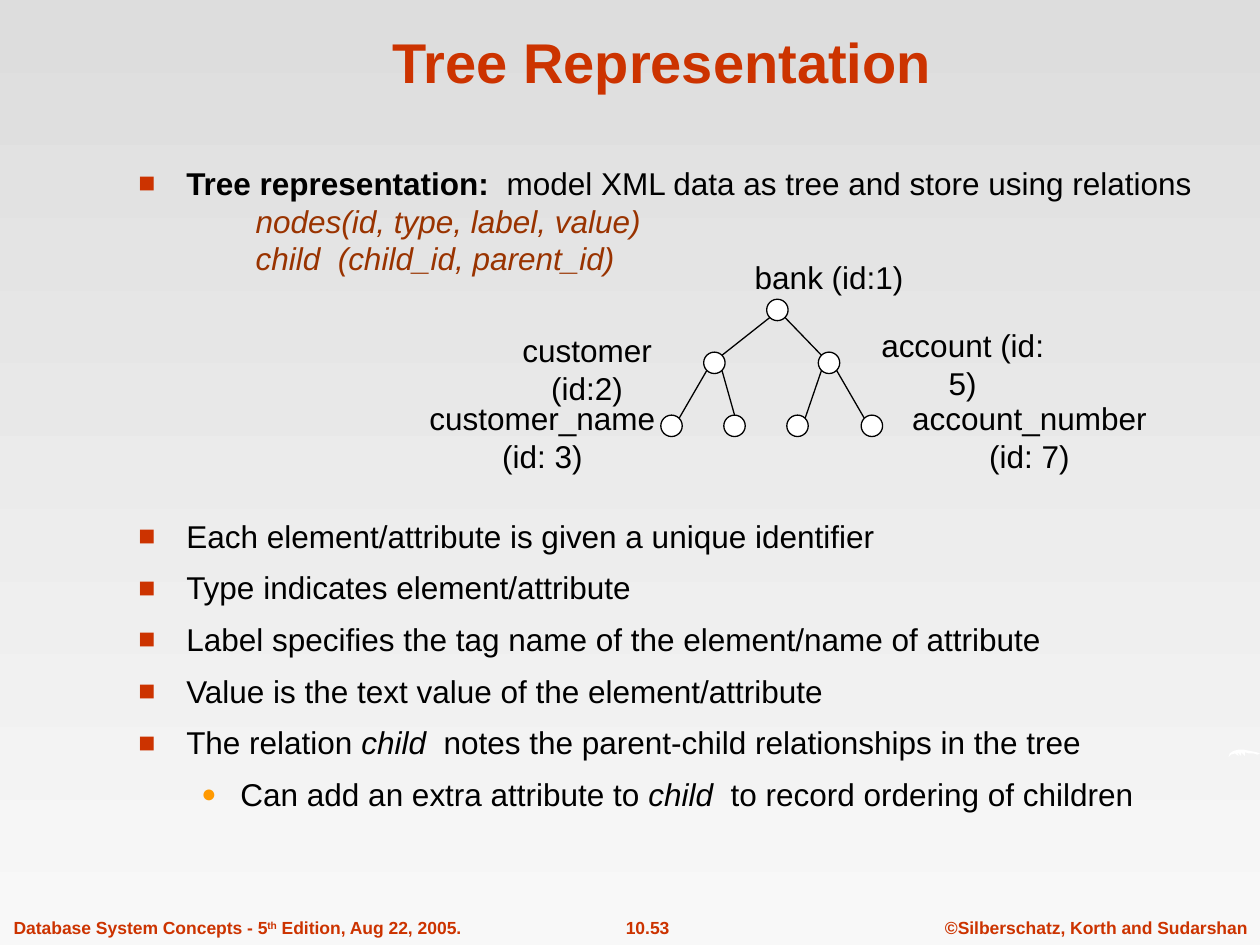
from lxml.etree import SubElement
from pptx import Presentation
from pptx.dml.color import RGBColor
from pptx.enum.shapes import MSO_CONNECTOR, MSO_SHAPE
from pptx.enum.text import MSO_ANCHOR, MSO_AUTO_SIZE, PP_ALIGN
from pptx.oxml.ns import qn
from pptx.util import Inches, Pt

RED, ORANGE, BROWN = "CC3300", "FF9900", "993300"
BLACK, WHITE = "000000", "FFFFFF"


def color(value):
    return RGBColor.from_string(value)


class SlideBuilder:
    font_name = "Arial"
    body_size = 18
    line_height = 21.6
    node_size = 0.17
    edge_offset = 0.06

    def __init__(self, presentation):
        self.slide = presentation.slides.add_slide(presentation.slide_layouts[5])

    def background(self, top, bottom):
        fill = self.slide.background.fill
        fill.gradient()
        fill.gradient_angle = 270
        for stop, position, value in zip(fill.gradient_stops, (0, 1), (top, bottom)):
            stop.position = position
            stop.color.rgb = color(value)

    def style(self, paragraph, size, value=BLACK, bold=False, italic=False):
        font = paragraph.font
        font.name, font.size = self.font_name, Pt(size)
        font.bold, font.italic = bold, italic
        font.color.rgb = color(value)

    def title(self, text, left, top, width, height):
        shape = self.slide.shapes.title
        shape.left, shape.top = Inches(left), Inches(top)
        shape.width, shape.height = Inches(width), Inches(height)
        frame = shape.text_frame
        frame.auto_size = MSO_AUTO_SIZE.NONE
        frame.vertical_anchor = MSO_ANCHOR.BOTTOM
        frame.text = text
        frame.paragraphs[0].alignment = PP_ALIGN.CENTER
        self.style(frame.paragraphs[0], 32, RED, bold=True)

    def text_box(self, left, top, width, height, wrap=False):
        box = self.slide.shapes.add_textbox(
            Inches(left), Inches(top), Inches(width), Inches(height))
        box.text_frame.word_wrap = wrap
        return box.text_frame

    def footer(self, parts, left, width, alignment=PP_ALIGN.CENTER):
        paragraph = self.text_box(left, 7.23, width, 0.27).paragraphs[0]
        paragraph.alignment = alignment
        self.style(paragraph, 10, RED, bold=True)
        for text, superscript in parts:
            run = paragraph.add_run()
            run.text = text
            if superscript:
                run._r.get_or_add_rPr().set("baseline", "30000")

    def label(self, text, left, top, width, height):
        paragraph = self.text_box(left, top, width, height).paragraphs[0]
        paragraph.text = text
        paragraph.alignment = PP_ALIGN.CENTER
        paragraph.line_spacing = Pt(self.line_height)
        self.style(paragraph, self.body_size)

    def bullet(self, properties, character, value, percent):
        bullet_color = SubElement(properties, qn("a:buClr"))
        SubElement(bullet_color, qn("a:srgbClr"), val=value)
        SubElement(properties, qn("a:buSzPct"), val=str(percent * 1000))
        SubElement(properties, qn("a:buFont"), typeface=self.font_name)
        SubElement(properties, qn("a:buChar"), char=character)

    def body(self, items, left, top, width, height):
        frame = self.text_box(left, top, width, height, wrap=True)
        # Kind: left margin, first-line indent, bullet, text colour
        kinds = {
            "point": (0.38, -0.38, ("■", RED, 90), BLACK),
            "schema": (0.93, 0, None, BROWN),
            "detail": (0.81, -0.31, ("●", ORANGE, 80), BLACK),
        }
        for index, (kind, space, runs) in enumerate(items):
            margin, indent, bullet, value = kinds[kind]
            paragraph = frame.add_paragraph() if index else frame.paragraphs[0]
            properties = paragraph._p.get_or_add_pPr()
            properties.set("marL", str(Inches(margin)))
            properties.set("indent", str(Inches(indent)))
            paragraph.line_spacing = Pt(self.line_height)
            paragraph.space_before = Pt(space)
            if bullet:
                self.bullet(properties, *bullet)
            self.style(paragraph, self.body_size, value, italic=kind == "schema")
            for text, emphasis in runs:
                run = paragraph.add_run()
                run.text = text
                if emphasis == "bold":
                    run.font.bold = True
                elif emphasis == "italic":
                    run.font.italic = True

    def node(self, x, y):
        size = self.node_size
        shape = self.slide.shapes.add_shape(
            MSO_SHAPE.OVAL, Inches(x - size / 2), Inches(y - size / 2),
            Inches(size), Inches(size))
        shape.shadow.inherit = False
        shape.fill.solid()
        shape.fill.fore_color.rgb = color(WHITE)
        shape.line.color.rgb = color(BLACK)
        shape.line.width = Pt(0.75)

    def edge(self, parent, child):
        offset = self.edge_offset
        side = offset if child[0] > parent[0] else -offset
        start = (parent[0] + side, parent[1] + offset)
        # A child almost below its parent is reached at the top
        if abs(child[0] - start[0]) < 0.15:
            end = (child[0], child[1] - self.node_size / 2)
        else:
            end = (child[0] - side, child[1] - offset)
        connector = self.slide.shapes.add_connector(
            MSO_CONNECTOR.STRAIGHT, *map(Inches, start + end))
        connector.line.color.rgb = color(BLACK)
        connector.line.width = Pt(0.75)
        SubElement(connector._element.spPr, qn("a:effectLst"))

    def outline(self, points, value):
        builder = self.slide.shapes.build_freeform(
            *map(Inches, points[0]), scale=1.0)
        builder.add_line_segments(
            [tuple(map(Inches, point)) for point in points[1:]], close=True)
        shape = builder.convert_to_shape()
        shape.shadow.inherit = False
        shape.fill.solid()
        shape.fill.fore_color.rgb = color(value)
        shape.line.fill.background()


def main():
    presentation = Presentation()
    presentation.slide_width, presentation.slide_height = Inches(10), Inches(7.5)
    builder = SlideBuilder(presentation)
    builder.background("DDDDDD", "F8F8F8")

    # Footer
    builder.footer([("©Silberschatz, Korth and Sudarshan", False)], 7.4, 2.6)
    builder.footer([("10.53", False)], 4.61, 1.06)
    builder.footer([("Database System Concepts - 5", False), ("th", True),
                    (" Edition, Aug 22, 2005.", False)], 0.01, 3.76, PP_ALIGN.LEFT)

    # White sliver at the right edge
    builder.outline([
        (9.75, 6.01), (9.76, 5.98), (9.79, 5.96), (9.83, 5.95), (9.87, 5.95),
        (9.92, 5.96), (9.97, 5.97), (10, 5.98), (9.98, 5.99), (9.95, 5.98),
        (9.91, 5.98), (9.88, 5.97), (9.88, 6), (9.85, 5.97), (9.85, 6),
        (9.82, 5.97), (9.83, 6), (9.8, 5.98), (9.77, 5.99)], WHITE)

    # Title and body
    builder.title("Tree Representation", 0.84, 0.13, 8.83, 0.67)
    gap, diagram_gap = 7.9, 137
    builder.body([
        ("point", 0, [("Tree representation:  ", "bold"),
                      ("model XML data as tree and store using relations", None)]),
        ("schema", 0, [("nodes(id, type, label, value)", None)]),
        ("schema", 0, [("child  (child_id, parent_id)", None)]),
        ("point", diagram_gap,
         [("Each element/attribute is given a unique identifier", None)]),
        ("point", gap, [("Type indicates element/attribute", None)]),
        ("point", gap,
         [("Label specifies the tag name of the element/name of attribute", None)]),
        ("point", gap, [("Value is the text value of the element/attribute", None)]),
        ("point", gap, [("The relation ", None), ("child ", "italic"),
                        (" notes the parent-child relationships in the tree", None)]),
        ("detail", gap, [("Can add an extra attribute to ", None), ("child ", "italic"),
                         (" to record ordering of children", None)]),
    ], 1, 1.25, 8.79, 5.78)

    # Tree: node centres, each child list under its parent
    bank, customer, account = (6.17, 2.46), (5.67, 2.88), (6.58, 2.88)
    leaves = [(x, 3.38) for x in (5.33, 5.83, 6.33, 6.92)]
    children = {bank: [customer, account], customer: leaves[:2], account: leaves[2:]}
    for parent, group in children.items():
        for child in group:
            builder.edge(parent, child)
    for center in [bank, customer, account, *leaves]:
        builder.node(*center)

    # Tree labels
    for label in [
        ("bank (id:1)", 5.89, 2, 1.38, 0.4),
        ("customer (id:2)", 3.73, 2.58, 1.86, 0.4),
        ("account (id: 5)", 6.75, 2.54, 1.78, 0.4),
        ("customer_name\v(id: 3)", 3.31, 3.12, 1.99, 0.7),
        ("account_number\v(id: 7)", 7.14, 3.12, 2.06, 0.7),
    ]:
        builder.label(*label)

    presentation.save("out.pptx")


if __name__ == "__main__":
    main()
